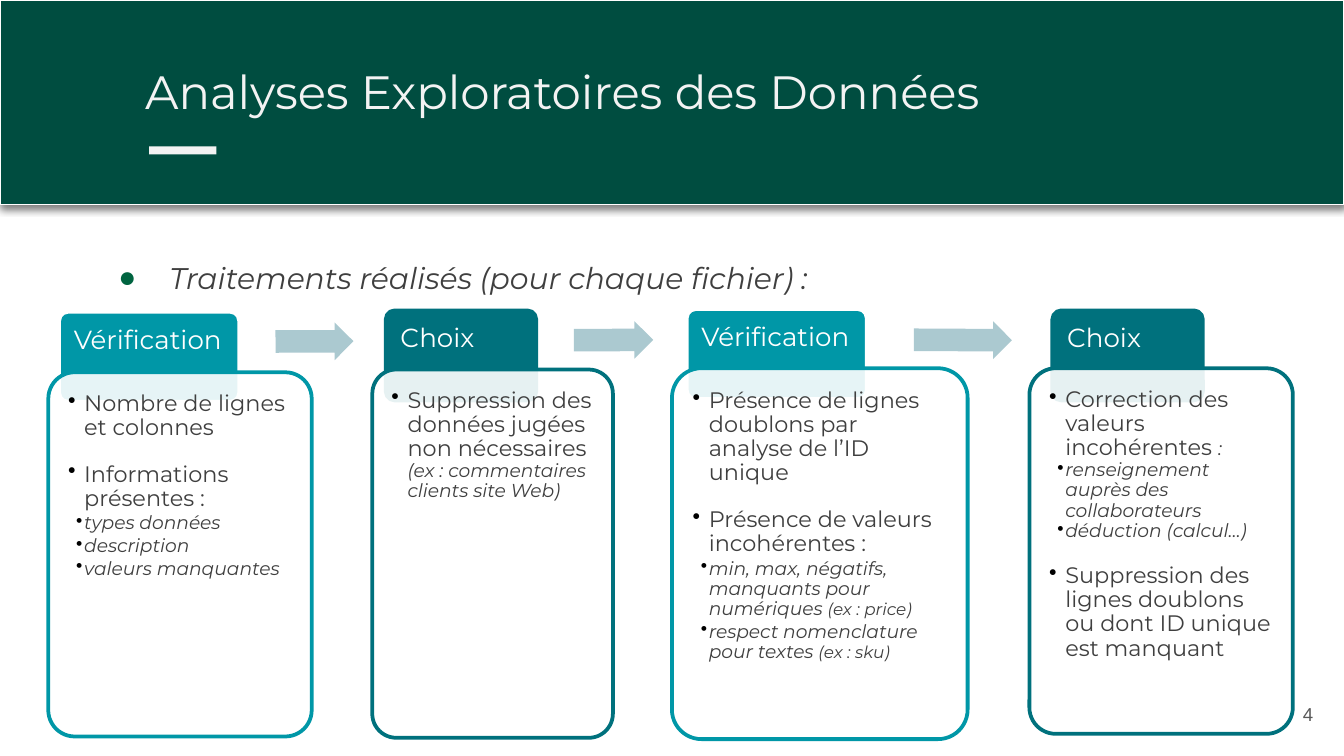
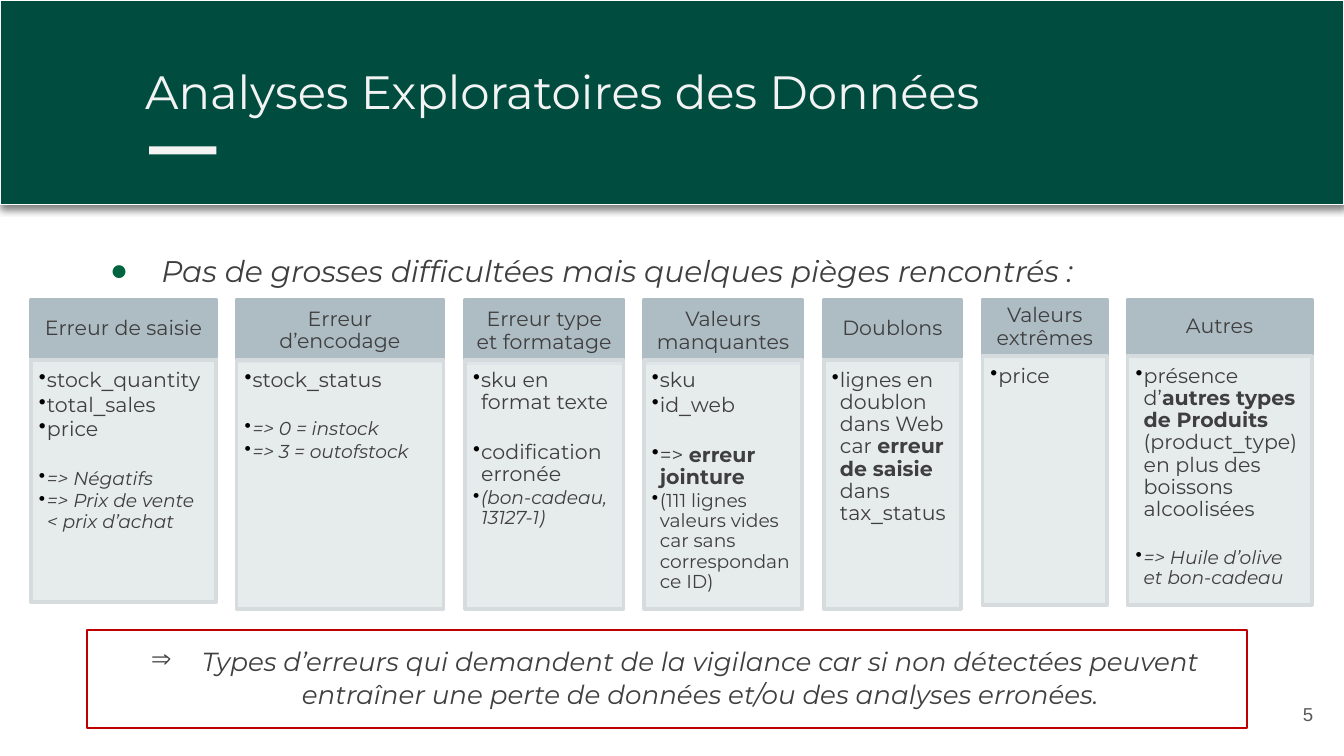
"""Build two slides on exploratory data analysis: processing steps and pitfalls met."""
from lxml import etree
from pptx import Presentation
from pptx.dml.color import RGBColor
from pptx.enum.shapes import MSO_SHAPE
from pptx.enum.text import MSO_ANCHOR, MSO_AUTO_SIZE, PP_ALIGN
from pptx.oxml.ns import qn
from pptx.util import Pt

PX = 9144
RECT = MSO_SHAPE.RECTANGLE
ROUND = MSO_SHAPE.ROUNDED_RECTANGLE
ARROW = MSO_SHAPE.RIGHT_ARROW
TOP, MIDDLE = MSO_ANCHOR.TOP, MSO_ANCHOR.MIDDLE
LEFT, CENTER, RIGHT = PP_ALIGN.LEFT, PP_ALIGN.CENTER, PP_ALIGN.RIGHT
NO_FIT = MSO_AUTO_SIZE.NONE

WHITE = RGBColor(0xFF, 0xFF, 0xFF)
BLACK = RGBColor(0x00, 0x00, 0x00)
OFF_WHITE = RGBColor(0xF3, 0xF3, 0xF3)
INK = RGBColor(0x3F, 0x3F, 0x3F)
NUMBER_GREY = RGBColor(0x59, 0x59, 0x59)
BAND_GREEN = RGBColor(0x00, 0x4D, 0x40)
BULLET_GREEN = RGBColor(0x00, 0x64, 0x40)
TEAL = RGBColor(0x00, 0x97, 0xA7)
DARK_TEAL = RGBColor(0x00, 0x71, 0x7D)
ARROW_BLUE = RGBColor(0xAB, 0xC9, 0xD0)
HEAD_GREY = RGBColor(0xAE, 0xBC, 0xC4)
PANEL_GREY = RGBColor(0xE4, 0xE9, 0xEB)
PANEL_EDGE = RGBColor(0xD6, 0xDB, 0xDE)
RED = RGBColor(0xC0, 0x00, 0x00)

FONT, PLAIN_FONT = "Montserrat", "Arial"
SPACER = 13.5


def add_box(s, kind, at, fill=None, line=None, width=2, alpha=None,
            margins=(10, 10, 10, 10), anchor=TOP):
    sp = s.shapes.add_shape(kind, *[v * PX for v in at])
    sp.shadow.inherit = False
    if fill is None:
        sp.fill.background()
    else:
        sp.fill.solid()
        sp.fill.fore_color.rgb = fill
    if alpha:
        color = sp.element.spPr.find(".//" + qn("a:srgbClr"))
        etree.SubElement(color, qn("a:alpha"), val=str(alpha * 1000))
    if line is None:
        sp.line.fill.background()
    else:
        sp.line.color.rgb = line
        sp.line.width = Pt(width)
    if kind == ROUND:
        sp.adjustments[0] = 0.1
    tf = sp.text_frame
    tf.word_wrap = True
    tf.vertical_anchor = anchor
    tf.margin_left, tf.margin_top, tf.margin_right, tf.margin_bottom = [m * PX for m in margins]
    return sp


def add_para(tf, runs, color=INK, font=FONT, align=LEFT, line=0.9, before=0, after=1.4,
             bullet=None, bullet_color=BLACK, indent=(0, 0)):
    p = tf.paragraphs[0] if not tf.paragraphs[0].runs else tf.add_paragraph()
    p.alignment = align
    p.line_spacing = line
    p.space_before, p.space_after = Pt(before), Pt(after)
    if bullet:
        pPr = p._p.get_or_add_pPr()
        pPr.set("marL", str(indent[0] * PX))
        pPr.set("indent", str(indent[1] * PX))
        clr = etree.SubElement(pPr, qn("a:buClr"))
        etree.SubElement(clr, qn("a:srgbClr"), val=str(bullet_color))
        etree.SubElement(pPr, qn("a:buChar"), char=bullet)
    for text, size, style in runs:
        for piece in text.replace("_", "|_|").split("|"):
            r = p.add_run()
            r.text = piece
            r.font.name = PLAIN_FONT if piece == "_" else font
            r.font.size = Pt(size)
            r.font.color.rgb = color
            r.font.bold = style == "b"
            r.font.italic = style == "i"


prs = Presentation()
prs.slide_width = 1000 * PX
prs.slide_height = prs.slide_width * 9 // 16

pages = [
    ("4", (66, 179, 932, 374), "Traitements réalisés (pour chaque fichier) :"),
    ("5", (60, 174, 940, 51), "Pas de grosses difficultées mais quelques pièges rencontrés :"),
]
slides = []
for number, body_at, lead in pages:
    s = prs.slides.add_slide(prs.slide_layouts[1])
    slides.append(s)
    title, body = s.shapes.title, s.placeholders[1]
    for sp, at in ((title, (98, 37, 932, 63)), (body, body_at)):
        sp.left, sp.top, sp.width, sp.height = [v * PX for v in at]
        tf = sp.text_frame
        tf.auto_size = NO_FIT
        tf.vertical_anchor = TOP
        tf.margin_left = tf.margin_top = tf.margin_right = tf.margin_bottom = 10 * PX
    add_para(title.text_frame, [("Analyses Exploratoires des Données", 25, "")],
             color=OFF_WHITE, line=1.0)
    add_para(body.text_frame, [(lead, 16, "i")], line=1.15,
             bullet="●", bullet_color=BULLET_GREEN, indent=(50, -38))

    band = add_box(s, RECT, (0, 0, 1000, 152), BAND_GREEN, WHITE, 0.75)
    shadow = etree.SubElement(band.element.spPr.find(qn("a:effectLst")), qn("a:outerShdw"),
                              blurRad=str(Pt(4.5)), dist=str(Pt(1.5)), dir="5400000",
                              algn="bl", rotWithShape="0")
    shade = etree.SubElement(shadow, qn("a:srgbClr"), val=str(BLACK))
    etree.SubElement(shade, qn("a:alpha"), val="50000")
    s.shapes.element.insert(2, band.element)
    add_box(s, RECT, (111, 109, 50, 6), OFF_WHITE)

    tb = s.shapes.add_textbox(927 * PX, 510 * PX, 60 * PX, 43 * PX)
    tb.text_frame.word_wrap = True
    tb.text_frame.vertical_anchor = MIDDLE
    add_para(tb.text_frame, [(number, 10, "")], color=NUMBER_GREY, font=PLAIN_FONT,
             align=RIGHT, line=1.0)

steps_slide, pitfalls_slide = slides

steps = [
    ("Vérification", TEAL, WHITE, (44, 232, 134, 67), (36, 277, 196, 271), [
        (1, 12, [("Nombre de lignes et colonnes", 12, "")]),
        (1, 1.4, [("Informations présentes :", 12, "")]),
        (2, 1.4, [("types données", 10, "i")]),
        (2, 1.4, [("description", 10, "i")]),
        (2, 1.4, [("valeurs manquantes", 10, "i")]),
    ]),
    ("Choix", DARK_TEAL, DARK_TEAL, (287, 231, 112, 67), (277, 275, 179, 274), [
        (1, 12, [("Suppression des données jugées non nécessaires ", 12, ""),
                 ("(ex : commentaires clients site Web)", 10, "i")]),
    ]),
    ("Vérification", TEAL, WHITE, (511, 230, 134, 67), (500, 274, 220, 276), [
        (1, 12, [("Présence de lignes doublons par analyse de l’ID unique", 12, "")]),
        (1, 1.4, [("Présence de valeurs incohérentes :", 12, "")]),
        (2, 1.4, [("min, max, négatifs, manquants pour numériques ", 10, "i"),
                  ("(ex : price)", 9, "i")]),
        (2, 1.4, [("respect nomenclature pour textes ", 10, "i"), ("(ex : sku)", 9, "i")]),
    ]),
    ("Choix", DARK_TEAL, DARK_TEAL, (783, 231, 112, 67), (766, 274, 196, 272), [
        (1, 0, [("Correction des valeurs incohérentes ", 12, ""), (":", 10, "i")]),
        (2, 0.2, [("renseignement auprès des collaborateurs", 10, "i")]),
        (2, 12, [("déduction (calcul…)", 10, "i")]),
        (1, 1.4, [("Suppression des lignes doublons ou dont ID unique est manquant", 12, "")]),
    ]),
]
step_indents = {1: (12, -12), 2: (12, -6)}
for name, color, tab_line, tab_at, card_at, items in steps:
    tab = add_box(steps_slide, ROUND, tab_at, color, tab_line, margins=(9, 9, 0, 6))
    add_para(tab.text_frame, [(name, 14, "")], color=WHITE)
    card = add_box(steps_slide, ROUND, card_at, WHITE, color, alpha=90, margins=(9, 9, 9, 9))
    for level, after, runs in items:
        add_para(card.text_frame, runs, after=after, bullet="•", indent=step_indents[level])

for left, top, width, angle in ((205, 240, 58, -0.2), (427, 239, 59, -0.3), (680, 239, 73, 0.3)):
    sp = add_box(steps_slide, ARROW, (left, top, width, 28), ARROW_BLUE)
    sp.adjustments[0], sp.adjustments[1] = 0.6, 0.5
    sp.rotation = angle

conclusion = add_box(pitfalls_slide, RECT, (65, 469, 863, 73), line=RED, width=1)
add_para(conclusion.text_frame, [
    ("Types d’erreurs qui demandent de la vigilance car si non détectées peuvent "
     "entraîner une perte de données et/ou des analyses erronées.", 14, "i")],
    align=CENTER, line=1.05, bullet="⇒", bullet_color=INK, indent=(50, -38))

pitfalls = [
    ("Erreur de saisie", 23, 138, 43, 268, 180, [
        (0, [("stock_quantity", 11, "")]),
        (0, [("total_sales", 11, "")]),
        (0, [("price", 11, "")]),
        (SPACER, [("=> Négatifs", 10, "i")]),
        (0, [("=> Prix de vente < prix d’achat", 10, "i")]),
    ]),
    ("Erreur d’encodage", 176, 154, 46, 268, 185, [
        (0, [("stock_status", 11, "")]),
        (SPACER, [("=> 0 = instock", 10, "i")]),
        (0, [("=> 3 = outofstock", 10, "i")]),
    ]),
    ("Erreur type et formatage", 346, 118, 47, 268, 185, [
        (0, [("sku en format texte", 11, "")]),
        (SPACER, [("codification erronée", 11, "")]),
        (0, [("(bon-cadeau, 13127-1)", 10, "i")]),
    ]),
    ("Valeurs manquantes", 479, 118, 47, 268, 185, [
        (0, [("sku", 11, "")]),
        (0, [("id_web", 11, "")]),
        (SPACER, [("=> ", 11, ""), ("erreur jointure", 11, "b")]),
        (0, [("(111 lignes valeurs vides car sans correspondance ID)", 10, "")]),
    ]),
    ("Doublons", 613, 102, 43, 268, 185, [
        (0, [("lignes en doublon dans Web car ", 11, ""), ("erreur de saisie ", 11, "b"),
             ("dans tax_status", 11, "")]),
    ]),
    ("Valeurs extrêmes", 731, 93, 41, 265, 185, [
        (0, [("price", 11, "")]),
    ]),
    ("Autres", 839, 137, 41, 265, 185, [
        (0, [("présence d’", 11, ""), ("autres types de Produits ", 11, "b"),
             ("(product_type) en plus des boissons alcoolisées", 11, "")]),
        (SPACER, [("=> Huile d’olive et bon-cadeau", 10, "i")]),
    ]),
]
for name, left, width, head_height, panel_top, panel_height, items in pitfalls:
    head = add_box(pitfalls_slide, RECT, (left, 223, width, head_height), HEAD_GREY, HEAD_GREY,
                   margins=(7, 5, 7, 5), anchor=MIDDLE)
    add_para(head.text_frame, [(name, 11, "")], align=CENTER)
    panel = add_box(pitfalls_slide, RECT, (left, panel_top, width, panel_height), PANEL_GREY,
                    PANEL_EDGE, alpha=90, margins=(6, 7, 9, 10))
    for before, runs in items:
        add_para(panel.text_frame, runs, before=before, bullet="•", indent=(6, -6))

prs.save("out.pptx")
